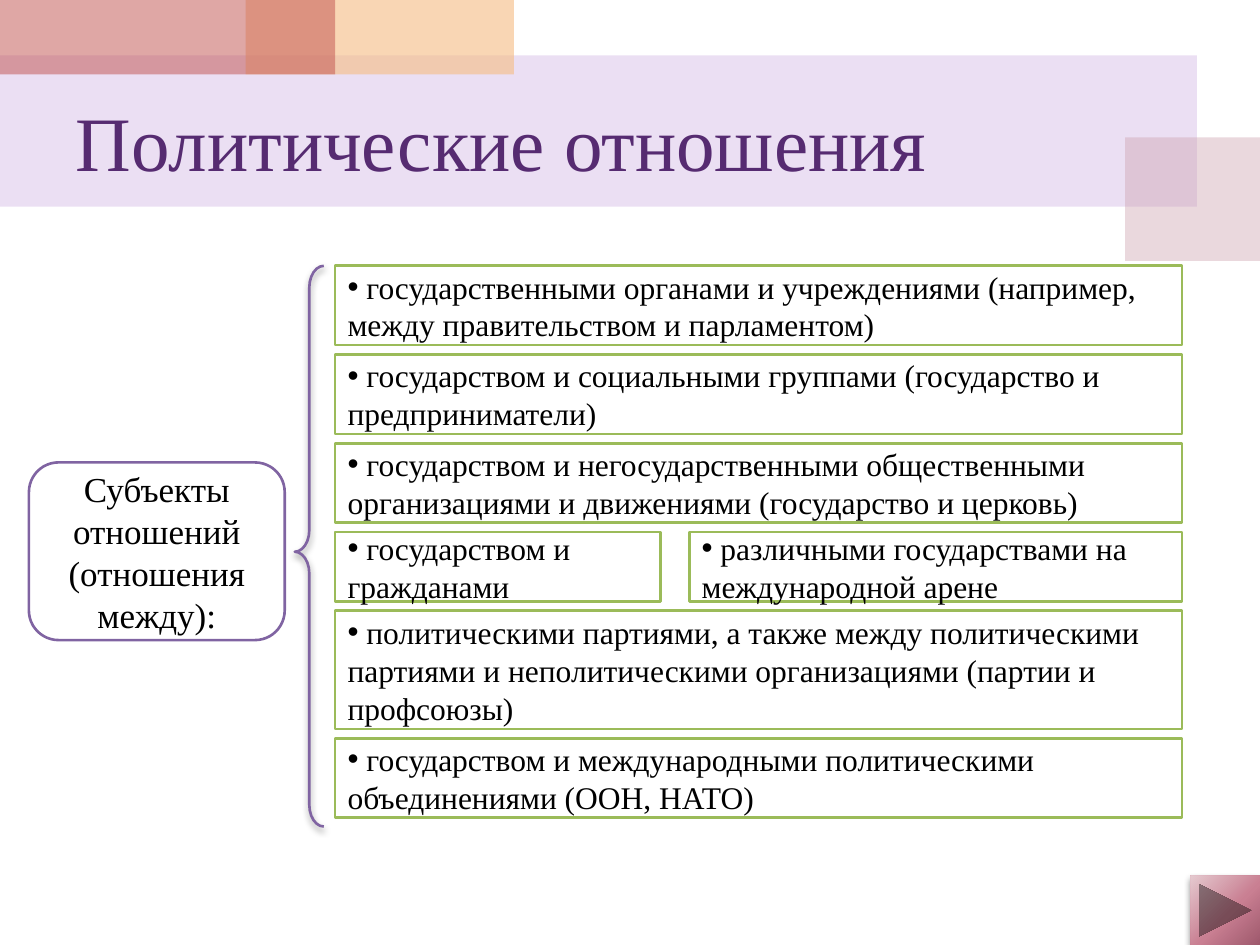
from pptx import Presentation
from pptx.dml.color import RGBColor
from pptx.enum.shapes import MSO_SHAPE
from pptx.enum.text import MSO_ANCHOR, PP_ALIGN
from pptx.oxml import parse_xml
from pptx.oxml.ns import nsdecls, qn
from pptx.util import Inches, Pt

RECT = MSO_SHAPE.RECTANGLE
PROCESS = MSO_SHAPE.FLOWCHART_PROCESS
ROUNDED = MSO_SHAPE.FLOWCHART_ALTERNATE_PROCESS
BRACE = MSO_SHAPE.LEFT_BRACE
NEXT_BUTTON = MSO_SHAPE.ACTION_BUTTON_FORWARD_OR_NEXT
MIDDLE = MSO_ANCHOR.MIDDLE
LEFT, CENTER = PP_ALIGN.LEFT, PP_ALIGN.CENTER

THEME = {
    "font": "Times New Roman",
    "title": "562B71", "text": "000000", "paper": "FFFFFF",
    "subject": "8064A2", "item": "9BBB59",
    "title_size": 44, "subject_size": 20, "item_size": 18, "line": 1.5,
    "button": [(0, "E5C9CF"), (55, "C97F92"), (100, "9E586C")],
}

TITLE = "Политические отношения"
SUBJECT = ["Субъекты отношений", "(отношения между):"]
ROWS = [
    (0.63, [(6.72, "государственными органами и учреждениями (например, между правительством и парламентом)")]),
    (0.63, [(6.72, "государством и социальными группами (государство и предприниматели)")]),
    (0.63, [(6.72, "государством и негосударственными общественными организациями и движениями (государство и церковь)")]),
    (0.55, [(2.58, "государством и гражданами"),
            (3.91, "различными государствами на международной арене")]),
    (0.94, [(6.72, "политическими партиями, а также между политическими партиями и неполитическими организациями (партии и профсоюзы)")]),
    (0.63, [(6.72, "государством и международными политическими объединениями (ООН, НАТО)")]),
]
DECOR = [
    ((0, 0.44, 9.5, 1.2), "BF98D8", 30),
    ((8.93, 1.09, 1.07, 0.98), "CC9EAC", 40),
    ((1.95, 0, 2.13, 0.59), "F5BC83", 60),
    ((0, 0, 2.66, 0.59), "C0504D", 50),
]
ROWS_LEFT, ROWS_TOP, ROWS_BOTTOM, COLUMN_GAP = 2.66, 2.11, 6.49, 0.23


def add_shape(s, kind, box, fill=None, line=None):
    sp = s.shapes.add_shape(kind, *map(Inches, box))
    sp.shadow.inherit = False
    if fill:
        sp.fill.solid()
        sp.fill.fore_color.rgb = RGBColor.from_string(fill)
    else:
        sp.fill.background()
    if line:
        sp.line.color.rgb = RGBColor.from_string(line)
        sp.line.width = Pt(THEME["line"])
    else:
        sp.line.fill.background()
    return sp


def write(sp, lines, size, color, align):
    tf = sp.text_frame
    tf.word_wrap = True
    tf.vertical_anchor = MIDDLE
    tf.text = "\n".join(lines)
    for p in tf.paragraphs:
        p.alignment = align
        p.font.name = THEME["font"]
        p.font.size = Pt(size)
        p.font.color.rgb = RGBColor.from_string(color)


def add_bullet(p):
    pPr = p._p.get_or_add_pPr()
    for tag, attrs in (("buFont", 'typeface="Arial"'), ("buChar", 'char="•"')):
        bullet = parse_xml(f'<a:{tag} {nsdecls("a")} {attrs}/>')
        pPr.insert_element_before(bullet, "a:tabLst", "a:defRPr", "a:extLst")


def set_alpha(sp, percent):
    color = sp._element.spPr.find(qn("a:solidFill"))[0]
    color.append(parse_xml(f'<a:alpha {nsdecls("a")} val="{percent * 1000}"/>'))


def set_shadow(sp, percent):
    sp._element.spPr.find(qn("a:effectLst")).append(parse_xml(
        f'<a:outerShdw {nsdecls("a")} blurRad="{Pt(4)}" dist="{Pt(2)}" dir="5400000" rotWithShape="0">'
        f'<a:srgbClr val="000000"><a:alpha val="{percent * 1000}"/></a:srgbClr></a:outerShdw>'))


def set_radial_fill(sp, stops):
    gs = "".join(f'<a:gs pos="{pos * 1000}"><a:srgbClr val="{c}"/></a:gs>' for pos, c in stops)
    spPr = sp._element.spPr
    spPr.replace(spPr.find(qn("a:noFill")), parse_xml(
        f'<a:gradFill {nsdecls("a")} rotWithShape="1"><a:gsLst>{gs}</a:gsLst><a:path path="circle">'
        '<a:fillToRect l="-40000" t="-90000" r="140000" b="190000"/></a:path></a:gradFill>'))


def add_rows(s):
    gap = (ROWS_BOTTOM - ROWS_TOP - sum(h for h, _ in ROWS)) / (len(ROWS) - 1)
    top = ROWS_TOP
    for height, cells in ROWS:
        left = ROWS_LEFT
        for width, text in cells:
            sp = add_shape(s, PROCESS, (left, top, width, height), THEME["paper"], THEME["item"])
            write(sp, [" " + text], THEME["item_size"], THEME["text"], LEFT)
            add_bullet(sp.text_frame.paragraphs[0])
            left += width + COLUMN_GAP
        top += height + gap


def main():
    prs = Presentation()
    prs.slide_width, prs.slide_height = Inches(10), Inches(7.5)
    s = prs.slides.add_slide(prs.slide_layouts[5])

    for box, color, alpha in DECOR:
        set_alpha(add_shape(s, RECT, box, color), alpha)

    title = s.shapes.title
    title.left, title.top, title.width, title.height = map(Inches, (0.5, 0.59, 9, 1.05))
    write(title, [TITLE], THEME["title_size"], THEME["title"], LEFT)
    title._element.getparent().append(title._element)

    subject = add_shape(s, ROUNDED, (0.23, 3.67, 2.03, 1.41), THEME["paper"], THEME["subject"])
    write(subject, SUBJECT, THEME["subject_size"], THEME["text"], CENTER)

    add_rows(s)

    brace = add_shape(s, BRACE, (2.34, 2.11, 0.23, 4.45), line=THEME["subject"])
    brace.adjustments[0], brace.adjustments[1] = 0.75, 0.51
    set_shadow(brace, 40)

    button = add_shape(s, NEXT_BUTTON, (9.45, 6.95, 0.55, 0.55))
    set_radial_fill(button, THEME["button"])
    set_shadow(button, 45)

    prs.save("out.pptx")


if __name__ == "__main__":
    main()
